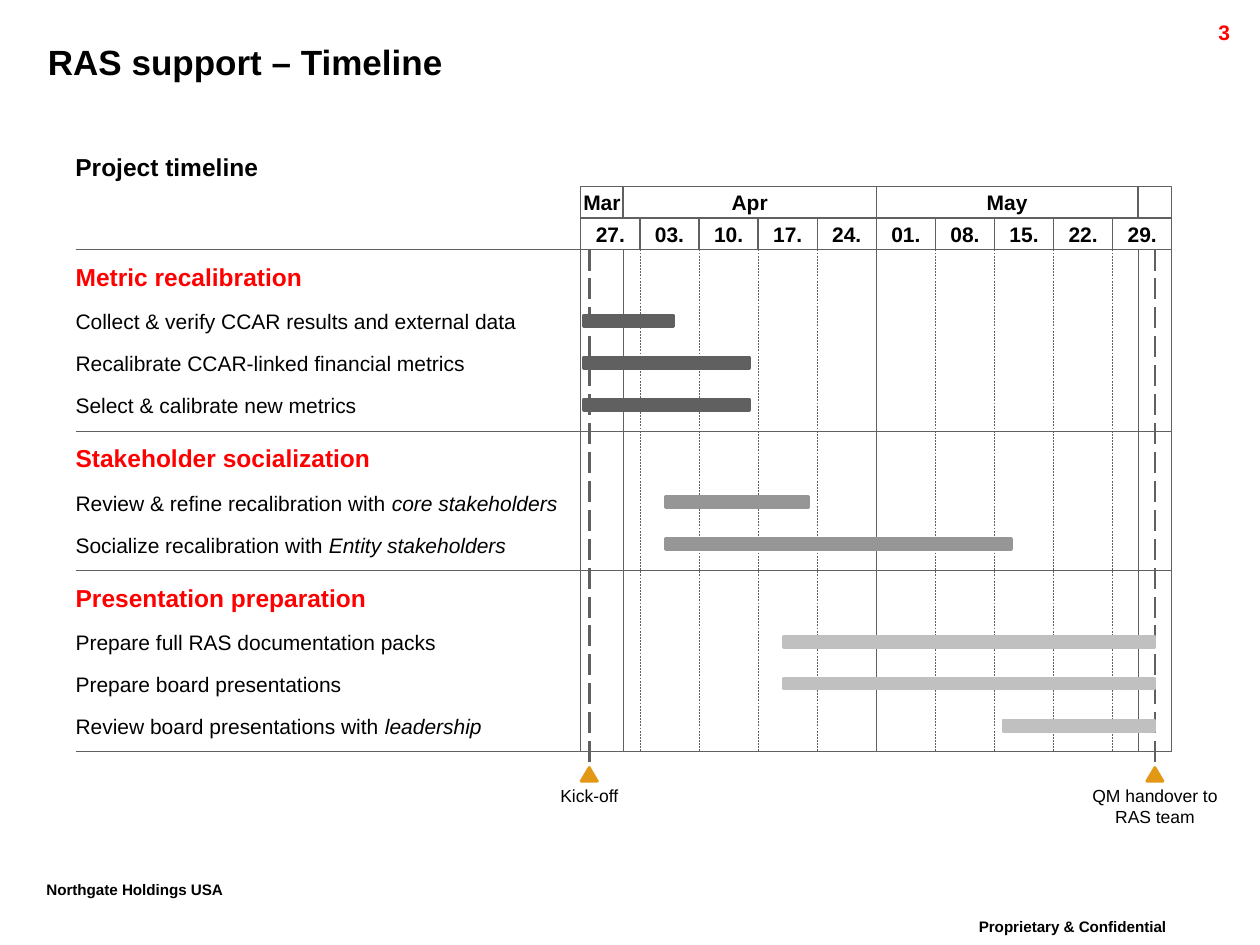
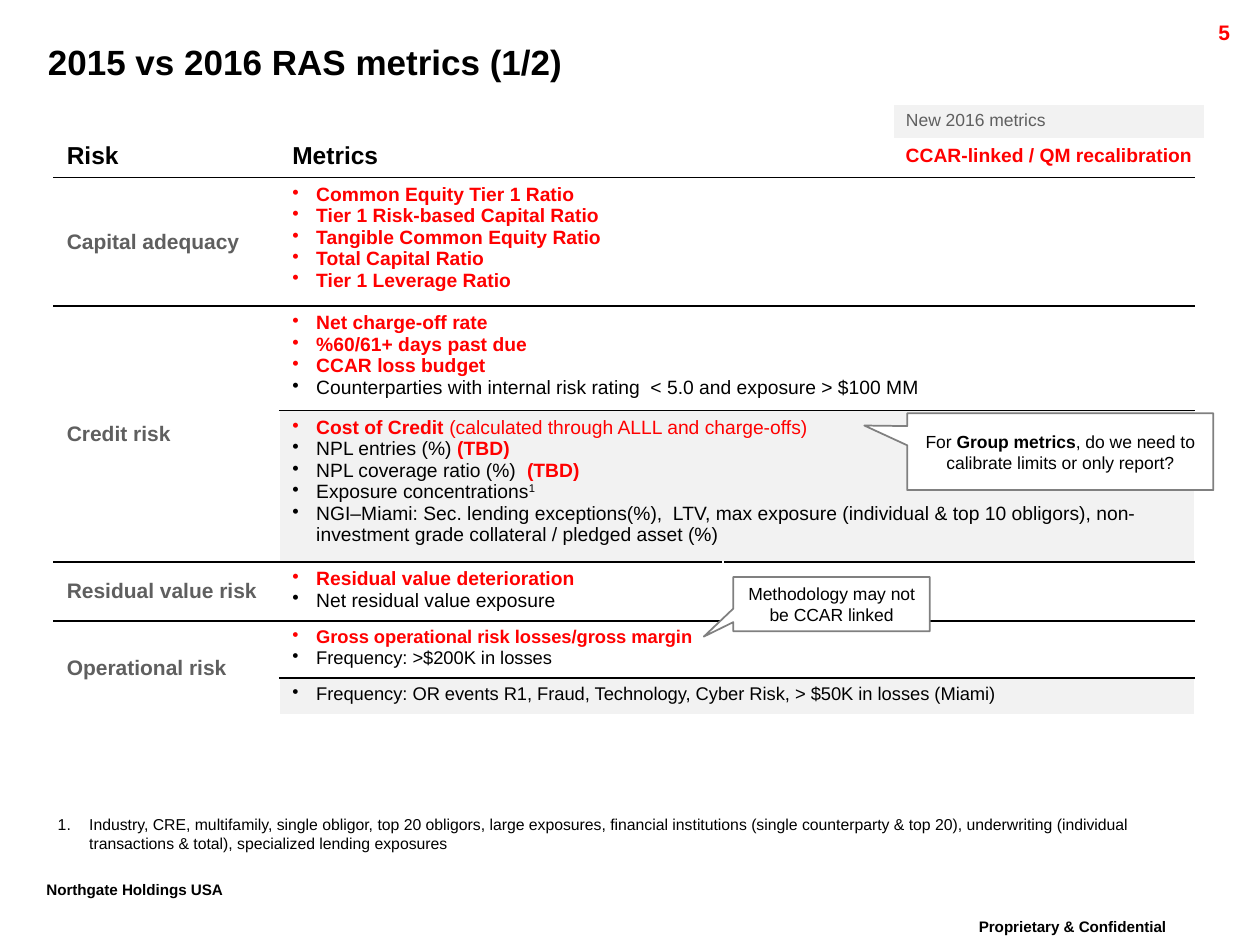
from itertools import accumulate

from lxml import etree
from pptx import Presentation
from pptx.dml.color import RGBColor
from pptx.enum.dml import MSO_LINE
from pptx.enum.shapes import MSO_CONNECTOR, MSO_SHAPE
from pptx.enum.text import MSO_ANCHOR, MSO_AUTO_SIZE, PP_ALIGN
from pptx.oxml.ns import qn
from pptx.util import Inches, Pt

BLACK = RGBColor(0x00, 0x00, 0x00)
WHITE = RGBColor(0xFF, 0xFF, 0xFF)
RED = RGBColor(0xFF, 0x00, 0x00)
AMBER = RGBColor(0xE2, 0x98, 0x15)
DARK = RGBColor(0x60, 0x60, 0x60)
MEDIUM = RGBColor(0x96, 0x96, 0x96)
LIGHT = RGBColor(0xC0, 0xC0, 0xC0)
PALE = RGBColor(0xF2, 0xF2, 0xF2)
LABEL = RGBColor(0x5F, 0x5F, 0x5F)
OUTLINE = RGBColor(0x80, 0x80, 0x80)

RECTANGLE, TRIANGLE = MSO_SHAPE.RECTANGLE, MSO_SHAPE.ISOSCELES_TRIANGLE
CALLOUT = MSO_SHAPE.RECTANGULAR_CALLOUT
STRAIGHT = MSO_CONNECTOR.STRAIGHT
DASH, LONG_DASH = MSO_LINE.DASH, MSO_LINE.LONG_DASH
TOP, MIDDLE = MSO_ANCHOR.TOP, MSO_ANCHOR.MIDDLE
LEFT_ALIGN, CENTER, RIGHT = PP_ALIGN.LEFT, PP_ALIGN.CENTER, PP_ALIGN.RIGHT
NO_AUTOFIT = MSO_AUTO_SIZE.NONE

FONT = "Arial"
COLUMNS, ROWS = 100, 75
TITLE_ONLY = 5
PADDING = (1, 0.5)
PLAIN = {"bold": False, "color": BLACK}
HOT = {"bold": True, "color": RED}


class Deck:
    def __init__(self):
        self.presentation = Presentation()
        self.presentation.slide_width = Inches(10)
        self.presentation.slide_height = Inches(7.5)
        self.column = self.presentation.slide_width / COLUMNS
        self.row = self.presentation.slide_height / ROWS
        self.slide = None

    def place(self, left, top, width, height):
        return (round(left * self.column), round(top * self.row),
                round(width * self.column), round(height * self.row))

    def add_slide(self, title, number):
        layout = self.presentation.slide_layouts[TITLE_ONLY]
        self.slide = self.presentation.slides.add_slide(layout)
        shape = self.slide.shapes.title
        shape.left, shape.top, shape.width, shape.height = self.place(2.8, 2.7, 97.2, 4.4)
        self.frame(shape.text_frame)
        self.set_text(shape.text_frame, [title], align=LEFT_ALIGN, size=20, bold=True)
        footer = {"size": 15, "bold": True, "baseline": 30000}
        self.text((76.7, 72.1, 21.8, 3.5), ["Proprietary & Confidential"], **footer)
        self.text((2.7, 69.1, 19.1, 3.5), ["Northgate Holdings USA"], **footer)
        self.text((89.1, 1.1, 9.5, 2.4), [number], align=RIGHT, size=12, bold=True, color=RED)

    def frame(self, frame, padding=PADDING, anchor=TOP, wrap=True):
        across, down = (round(padding[0] * self.column), round(padding[1] * self.row))
        values = {"margin_left": across, "margin_right": across, "margin_top": down,
                  "margin_bottom": down, "vertical_anchor": anchor,
                  "word_wrap": wrap, "auto_size": NO_AUTOFIT}
        for name, value in values.items():
            setattr(frame, name, value)

    def set_text(self, frame, paragraphs, align=None, bullet=None, indent=0, **style):
        for index, runs in enumerate(paragraphs):
            paragraph = frame.add_paragraph() if index else frame.paragraphs[0]
            if align is not None:
                paragraph.alignment = align
            if bullet:
                self.bullet(paragraph, bullet, indent)
            for run in [runs] if isinstance(runs, (str, tuple)) else runs:
                text, changes = (run, {}) if isinstance(run, str) else run
                self.add_run(paragraph, text, {**style, **changes})

    def add_run(self, paragraph, text, style):
        run = paragraph.add_run()
        run.text = text
        values = {"name": FONT, "size": Pt(style["size"]),
                  "bold": style.get("bold", False), "italic": style.get("italic", False)}
        for name, value in values.items():
            setattr(run.font, name, value)
        run.font.color.rgb = style.get("color", BLACK)
        if "baseline" in style:
            run._r.get_or_add_rPr().set("baseline", str(style["baseline"]))

    def bullet(self, paragraph, bullet, indent):
        properties = paragraph._p.get_or_add_pPr()
        margin = round(indent * self.column)
        properties.set("marL", str(margin))
        properties.set("indent", str(-margin))
        tag, name = ("a:buAutoNum", "type") if bullet == "arabicPeriod" else ("a:buChar", "char")
        etree.SubElement(properties, qn(tag)).set(name, bullet)

    def text(self, box, paragraphs, padding=PADDING, wrap=True, **style):
        shape = self.slide.shapes.add_textbox(*self.place(*box))
        self.frame(shape.text_frame, padding, wrap=wrap)
        self.set_text(shape.text_frame, paragraphs, **style)

    def shape(self, kind, box, fill, line=None, weight=1, paragraphs=(), padding=PADDING,
              anchor=MIDDLE, wrap=True, adjustments=(), **style):
        shape = self.slide.shapes.add_shape(kind, *self.place(*box))
        shape.shadow.inherit = False
        shape.fill.solid()
        shape.fill.fore_color.rgb = fill
        if line is None:
            shape.line.fill.background()
        else:
            shape.line.color.rgb = line
            shape.line.width = Pt(weight)
        for index, value in enumerate(adjustments):
            shape.adjustments[index] = value
        self.frame(shape.text_frame, padding, anchor, wrap)
        self.set_text(shape.text_frame, paragraphs, **style)

    def line(self, left, top, right, bottom, weight, dash=None):
        ends = self.place(left, top, right, bottom)
        connector = self.slide.shapes.add_connector(STRAIGHT, *ends)
        connector.line.color.rgb = DARK
        connector.line.width = Pt(weight)
        if dash is not None:
            connector.line.dash_style = dash
        etree.SubElement(connector._element.spPr, qn("a:effectLst"))

    def table(self, box, widths, heights):
        graphic = self.slide.shapes.add_table(len(heights), len(widths), *self.place(*box))
        table = graphic.table
        table.first_row = table.horz_banding = False
        for column, width in zip(table.columns, widths):
            column.width = round(width * self.column)
        for row, height in zip(table.rows, heights):
            row.height = round(height * self.row)
        for cell in table.iter_cells():
            cell.fill.background()
            cell.text_frame.paragraphs[0]._p.get_or_add_endParaRPr().set("sz", "1000")
        return table

    def cell(self, cell, paragraphs, fill=None, anchor=TOP, **style):
        cell.vertical_anchor = anchor
        if fill is not None:
            cell.fill.solid()
            cell.fill.fore_color.rgb = fill
        self.set_text(cell.text_frame, paragraphs, **style)

    def borders(self, cell, **colors):
        properties = cell._tc.get_or_add_tcPr()
        for position, (side, color) in enumerate(colors.items()):
            line = etree.Element(qn(f"a:ln{side}"), w=str(Pt(1)))
            fill = etree.SubElement(line, qn("a:solidFill"))
            etree.SubElement(fill, qn("a:srgbClr")).set("val", str(color))
            properties.insert(position, line)


LEFT, START, END = 6, 46.1, 93
HEADER_TOP, HEADER_HEIGHT, BODY_TOP = 14.8, 2.5, 19.8
WEEKS = ["27.", "03.", "10.", "17.", "24.", "01.", "08.", "15.", "22.", "29."]
WEEK = (END - START) / len(WEEKS)
MONTHS = [("Mar", 0, 5), ("Apr", 5, 35), ("May", 35, 66), ("", 66, 70)]
KICK_OFF, HANDOVER = 1, 68
TASK_PITCH, GROUP_HEADING = 10 / 3, 4.4
GROUPS = [
    ("Metric recalibration", DARK, [
        (["Collect & verify CCAR results and external data"], 0.3, 11),
        (["Recalibrate CCAR-linked financial metrics"], 0.3, 20),
        (["Select & calibrate new metrics"], 0.3, 20)]),
    ("Stakeholder socialization", MEDIUM, [
        (["Review & refine recalibration with ", ("core stakeholders", {"italic": True})], 10, 27),
        (["Socialize recalibration with ", ("Entity stakeholders", {"italic": True})], 10, 51)]),
    ("Presentation preparation", LIGHT, [
        (["Prepare full RAS documentation packs"], 24, 68),
        (["Prepare board presentations"], 24, 68),
        (["Review board presentations with ", ("leadership", {"italic": True})], 50, 68)]),
]


def day(number):
    return START + number * WEEK / 7


def timeline(deck):
    deck.add_slide("RAS support – Timeline", "3")
    deck.text((5, 11.6, 16.6, 3.4), ["Project timeline"], wrap=False, size=14, bold=True)

    weeks = [(name, 7 * i, 7 * i + 7) for i, name in enumerate(WEEKS)]
    for level, spans in enumerate([MONTHS, weeks]):
        for name, first, last in spans:
            box = (day(first), HEADER_TOP + level * HEADER_HEIGHT,
                   day(last) - day(first), HEADER_HEIGHT)
            deck.shape(RECTANGLE, box, WHITE, DARK, 0.75, [name] if name else [],
                       padding=(0, 0.3), wrap=False, align=CENTER, size=12, bold=True)

    heights = [GROUP_HEADING + TASK_PITCH * len(tasks) for _, _, tasks in GROUPS]
    tops = list(accumulate(heights, initial=BODY_TOP))
    bottom = tops[-1]
    month_starts = [first for _, first, _ in MONTHS[1:]]
    for number in sorted({*range(0, 71, 7), *month_starts}):
        weight = 0.75 if number in (0, 70) else 0.25
        dash = None if number in (0, 70, *month_starts) else DASH
        deck.line(day(number), BODY_TOP, day(number), bottom, weight, dash)
    for top in tops:
        deck.line(LEFT, top, END, top, 0.75 if top in (BODY_TOP, bottom) else 0.25)
    for number in (KICK_OFF, HANDOVER):
        deck.line(day(number), BODY_TOP, day(number), 61.5, 1.5, LONG_DASH)

    for top, (heading, color, tasks) in zip(tops, GROUPS):
        deck.text((LEFT, top + 1, 23.2, 2.3), [heading], padding=(0, 0), wrap=False,
                  size=14, bold=True, color=RED)
        for index, (name, first, last) in enumerate(tasks):
            task_top = top + 4.7 + index * TASK_PITCH
            deck.shape(RECTANGLE, (day(first), task_top + 0.5, day(last) - day(first), 0.9),
                       color, color, 1.5)
            deck.text((LEFT, task_top, 39, 2), [name], padding=(0, 0), size=12)

    for number, label, width, height in [
            (KICK_OFF, ["Kick-off"], 4.6, 1.7),
            (HANDOVER, ["QM handover to", "RAS team"], 10.4, 3.3)]:
        deck.shape(TRIANGLE, (day(number) - 0.65, 60.9, 1.3, 1.1), AMBER, AMBER, 1.5)
        deck.shape(RECTANGLE, (day(number) - width / 2, 62.3, width, height), WHITE,
                   paragraphs=label, padding=(0, 0), anchor=TOP, wrap=False,
                   align=CENTER, size=10)


METRICS = [
    ("Capital adequacy", 1, 2, 11, None,
     [("Common Equity Tier 1 Ratio", HOT), ("Tier 1 Risk-based Capital Ratio", HOT),
      ("Tangible Common Equity Ratio", HOT), ("Total Capital Ratio", HOT),
      ("Tier 1 Leverage Ratio", HOT)]),
    ("Credit risk", 2, 3, 11, None,
     [("Net charge-off rate", HOT), ("%60/61+ days past due", HOT), ("CCAR loss budget", HOT),
      "Counterparties with internal risk rating  < 5.0 and exposure > $100 MM"]),
    (None, 1, 3, 11, PALE,
     [[("Cost of Credit ", HOT), ("(calculated through ALLL and charge-offs)", {"color": RED})],
      ["NPL entries (%) ", ("(TBD)", HOT)],
      ["NPL coverage ratio (%)  ", ("(TBD)", HOT)],
      ["Exposure concentrations", ("1", {"baseline": 30000})],
      "NGI–Miami: Sec. lending exceptions(%),  LTV, max exposure (individual & top 10 "
      "obligors), non-investment grade collateral / pledged asset (%)"]),
    ("Residual value risk", 1, 1, 11, None,
     [("Residual value deterioration", HOT), "Net residual value exposure"]),
    ("Operational risk", 2, 3, 10.5, None,
     [("Gross operational risk losses/gross margin", HOT), "Frequency: >$200K in losses"]),
    (None, 1, 3, 10.5, PALE,
     ["Frequency: OR events R1, Fraud, Technology, Cyber Risk, > $50K in losses (Miami)"]),
]


def metrics(deck):
    deck.add_slide("2015 vs 2016 RAS metrics (1/2)", "5")
    table = deck.table((4.3, 10.8, 90.5, 45.9), [17.9, 35.2, 5.1, 32.3],
                       [3.3, 10.2, 8.3, 12, 4.7, 4.5, 2.9])
    table.cell(0, 1).merge(table.cell(0, 2))
    for index, heading in enumerate(["Risk", "Metrics"]):
        deck.cell(table.cell(0, index), [heading], size=14, bold=True)
    for row, (risk, depth, span, size, fill, items) in enumerate(METRICS, 1):
        if risk:
            if depth > 1:
                table.cell(row, 0).merge(table.cell(row + depth - 1, 0))
            deck.cell(table.cell(row, 0), [risk], anchor=MIDDLE, size=12, bold=True, color=LABEL)
        if span > 1:
            table.cell(row, 1).merge(table.cell(row, span))
        else:
            table.cell(row, 2).merge(table.cell(row, 3))
        deck.cell(table.cell(row, 1), items, fill, bullet="•", indent=1.9, size=size, **PLAIN)
    last = len(METRICS)
    for row in range(last + 1):
        for column in range(4):
            cell = table.cell(row, column)
            if cell.is_spanned:
                continue
            ends_table = row == last or (row == last - 1 and column == 0)
            deck.borders(cell, L=WHITE, R=WHITE, T=BLACK if row else WHITE,
                         B=WHITE if ends_table else BLACK)

    deck.text((70.9, 10.9, 25, 2.9), ["CCAR-linked / QM recalibration"], wrap=False,
              size=11, **HOT)
    legend = deck.table((70.9, 8.3, 24.7, 2.7), [24.7], [2.7])
    deck.cell(legend.cell(0, 0), ["New 2016 metrics"], PALE, size=10, color=LABEL)
    deck.text((3.6, 64.2, 90.2, 4),
              ["Industry, CRE, multifamily, single obligor, top 20 obligors, large exposures, "
               "financial institutions (single counterparty & top 20), underwriting (individual "
               "transactions & total), specialized lending exposures"],
              bullet="arabicPeriod", indent=2.5, size=9)
    for box, tip, runs in [
            ((58.2, 45.8, 15.6, 4.3), (-0.65, 0.6), "Methodology may not be CCAR linked"),
            ((72, 32.8, 24.3, 6.1), (-0.64, -0.34),
             ["For ", ("Group metrics", {"bold": True}),
              ", do we need to calibrate limits or only report?"])]:
        deck.shape(CALLOUT, box, WHITE, OUTLINE, 1, [runs], padding=(0.8, 0.8),
                   adjustments=tip, align=CENTER, size=10)


deck = Deck()
timeline(deck)
metrics(deck)
deck.presentation.save("out.pptx")
